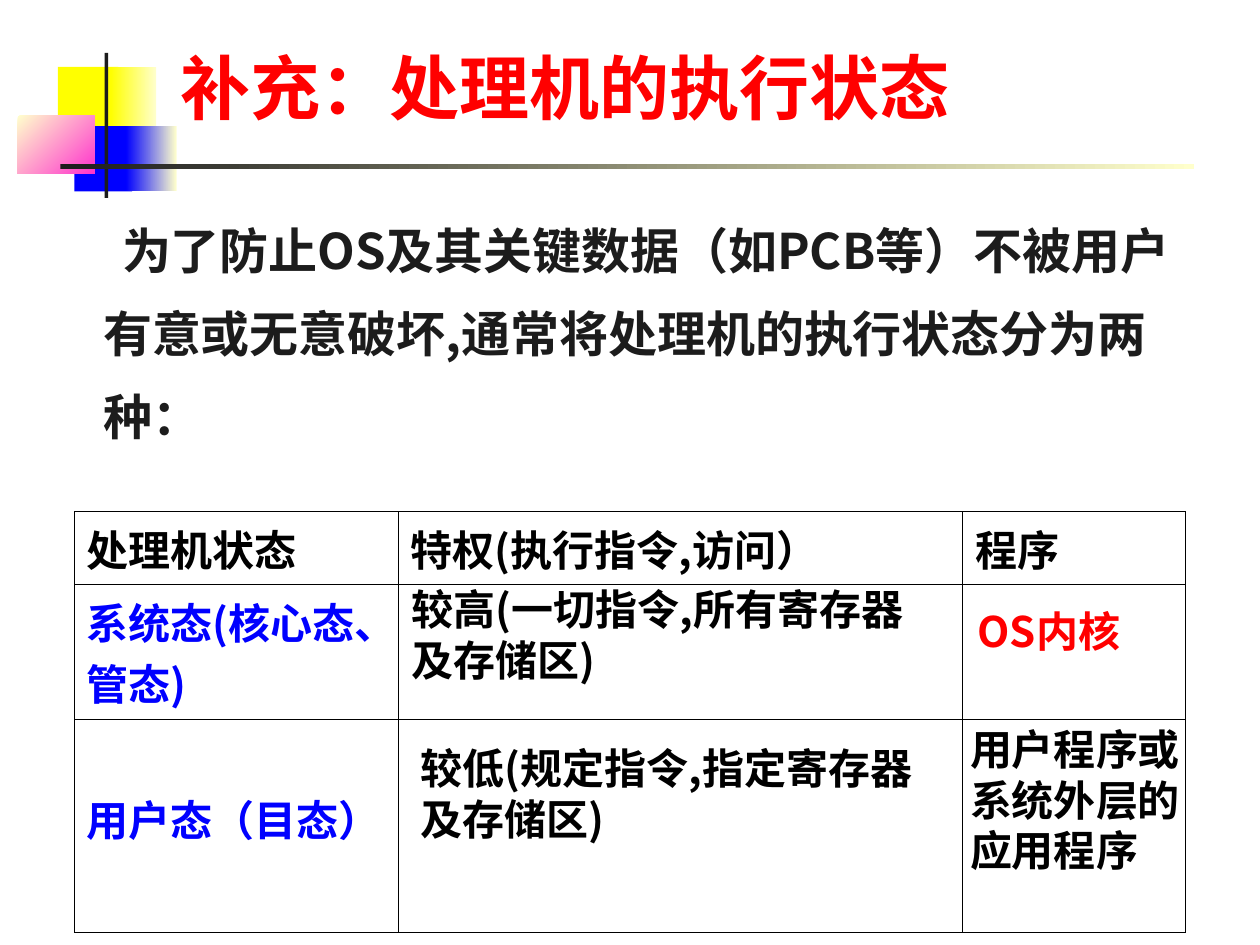
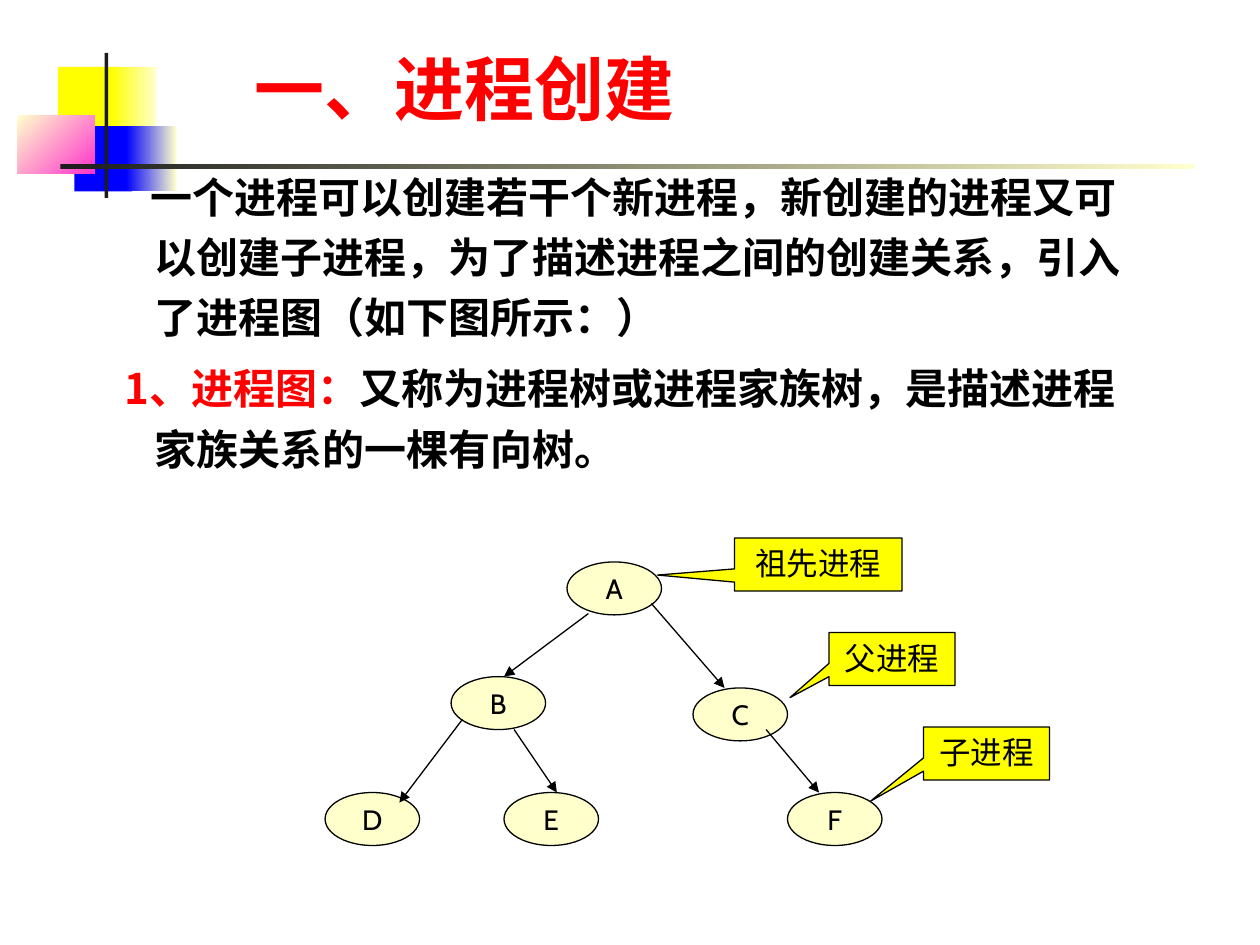
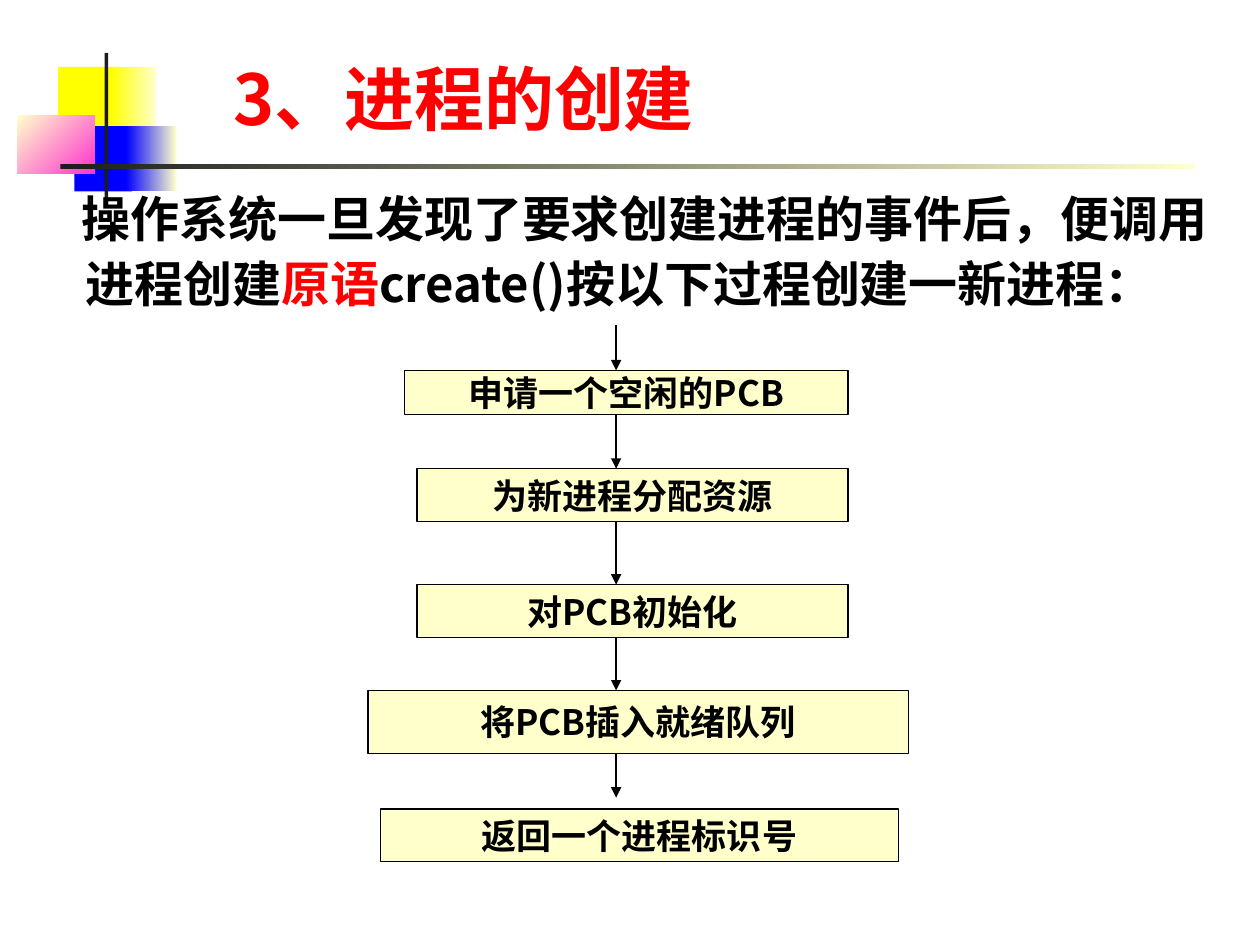
from dataclasses import dataclass

from lxml import etree
from pptx import Presentation
from pptx.dml.color import RGBColor
from pptx.enum.shapes import MSO_CONNECTOR as Connector, MSO_SHAPE as Shape
from pptx.enum.text import MSO_ANCHOR as Anchor, MSO_AUTO_SIZE as AutoSize, PP_ALIGN as Align
from pptx.oxml.ns import qn
from pptx.util import Inches, Pt


@dataclass(frozen=True)
class Theme:
    black: str = "000000"
    ink: str = "1C1C1C"
    red: str = "FF0000"
    blue: str = "0000FF"
    yellow: str = "FFFF00"
    cream: str = "FFFFCC"
    pink: str = "FF33CC"
    face: str = "Noto Sans CJK SC"
    label_face: str = "Cabin"
    title_size: int = 40
    lead_size: int = 28
    text_size: int = 24
    step_size: int = 20
    callout_size: int = 18
    node_size: int = 16
    line_width: float = 0.75
    border_width: float = 0.45


theme = Theme()


def write(frame, text, size=theme.text_size, color=theme.black, bold=True, face=theme.face,
          align=Align.LEFT, anchor=Anchor.TOP, wrap=True, leading=None, before=0,
          margin=0, indent=0):
    """Add one paragraph; text is a string or a list of (string, colour) spans."""
    frame.word_wrap = wrap
    frame.vertical_anchor = anchor
    para = frame.add_paragraph() if frame.text else frame.paragraphs[0]
    para.alignment = align
    para.space_before = Pt(before)
    if leading:
        para.line_spacing = Pt(leading)
    if margin:
        props = para._p.get_or_add_pPr()
        props.set("marL", str(Inches(margin)))
        props.set("indent", str(Inches(indent)))
    for words, tint in [(text, color)] if isinstance(text, str) else text:
        span = para.add_run()
        span.text = words
        span.font.size = Pt(size)
        span.font.bold = bold
        span.font.color.rgb = RGBColor.from_string(tint)
        span.font.name = face
        etree.SubElement(span._r.get_or_add_rPr(), qn("a:ea"), typeface=face)


def draw_arrow(page, start, end):
    arrow = page.shapes.add_connector(Connector.STRAIGHT, *map(Inches, start + end))
    arrow.line.color.rgb = RGBColor.from_string(theme.black)
    arrow.line.width = Pt(theme.line_width)
    etree.SubElement(arrow.line._get_or_add_ln(), qn("a:tailEnd"), type="triangle")
    etree.SubElement(arrow._element.spPr, qn("a:effectLst"))


deck = Presentation()
deck.slide_width, deck.slide_height = Inches(10), Inches(7.5)
layout = deck.slide_layouts[5]

# Pages and titles
titles = [
    ("补充：处理机的执行状态", (1.33, 0.28, 6.9, 0.79)),
    ("一、进程创建", (1.92, 0.32, 5.5, 0.76)),
    ("3、进程的创建", (1.75, 0.36, 6.4, 0.8)),
]
pages = []
for text, place in titles:
    page = deck.slides.add_slide(layout)
    title = page.shapes.title
    title.left, title.top, title.width, title.height = map(Inches, place)
    title.text_frame.auto_size = AutoSize.NONE
    write(title.text_frame, text, size=theme.title_size, color=theme.red,
          anchor=Anchor.BOTTOM, leading=48)
    pages.append(page)
states_page, tree_page, steps_page = pages

# Corner ornament, moved to the shared layout: place, colours, clockwise angle
ornament = [
    ((0.46, 0.53, 0.48, 0.52), [theme.yellow], 0),
    ((0.88, 0.53, 0.36, 0.52), [theme.yellow, theme.cream], 0),
    ((0.59, 1, 0.46, 0.52), [theme.blue], 0),
    ((1, 1, 0.4, 0.52), [theme.blue, theme.cream], 0),
    ((0.14, 0.92, 0.61, 0.46), [theme.cream, theme.pink], 45),
    ((0.83, 0.42, 0.03, 1.15), [theme.ink], 0),
    ((0.48, 1.3, 9, 0.04), [theme.ink, theme.cream], 0),
]
for place, colors, angle in ornament:
    tile = states_page.shapes.add_shape(Shape.RECTANGLE, *map(Inches, place))
    tile.shadow.inherit = False
    tile.line.fill.background()
    if len(colors) == 1:
        tile.fill.solid()
        tile.fill.fore_color.rgb = RGBColor.from_string(colors[0])
    else:
        tile.fill.gradient()
        tile.fill.gradient_angle = -angle % 360
        for stop, color in zip(tile.fill.gradient_stops, colors):
            stop.color.rgb = RGBColor.from_string(color)
    layout.shapes.element.append(tile.element)

# Processor states: introduction
intro = states_page.shapes.add_textbox(Inches(0.34), Inches(1.51), Inches(9.15), Inches(2))
write(intro.text_frame,
      "为了防止OS及其关键数据（如PCB等）不被用户有意或无意破坏,通常将处理机的执行状态分为两种：",
      size=theme.lead_size, color=theme.ink, leading=47.5, margin=0.38, indent=0.15)

# Processor states: table
grid = states_page.shapes.add_table(
    3, 3, Inches(0.59), Inches(4.06), Inches(8.82), Inches(3.34)).table
grid.first_row = grid.horz_banding = False
for column, width in zip(grid.columns, (2.57, 4.48, 1.77)):
    column.width = Inches(width)
for row, height in zip(grid.rows, (0.58, 1.07, 1.69)):
    row.height = Inches(height)
for cell in grid.iter_cells():
    props = cell._tc.get_or_add_tcPr()
    for side in ("a:lnL", "a:lnR", "a:lnT", "a:lnB"):
        border = etree.SubElement(props, qn(side), w=str(Pt(theme.border_width)))
        paint = etree.SubElement(border, qn("a:solidFill"))
        etree.SubElement(paint, qn("a:srgbClr"), val=theme.black)
    cell.fill.background()
for column, heading in enumerate(("处理机状态", "特权(执行指令,访问）", "程序")):
    write(grid.cell(0, column).text_frame, heading)
for row, state in enumerate(("系统态(核心态、管态)", "用户态（目态）"), start=1):
    write(grid.cell(row, 0).text_frame, state, color=theme.blue)
# A wider right margin keeps the comma from hanging over the border
grid.cell(1, 0).margin_right = Inches(0.25)
grid.cell(2, 0).margin_top = Inches(0.54)

# Processor states: notes over the table
notes = [
    ("较高(一切指令,所有寄存器及存储区)", (3.17, 4.58, 4.27, 0.9), theme.black),
    ("OS内核", (7.66, 4.75, 1.52, 0.5), theme.red),
    ("较低(规定指令,指定寄存器及存储区)", (3.24, 5.84, 4.2, 0.9), theme.black),
    ("用户程序或系统外层的应用程序", (7.6, 5.69, 1.89, 1.3), theme.black),
]
for text, place, color in notes:
    box = states_page.shapes.add_textbox(*map(Inches, place))
    write(box.text_frame, text, color=color, leading=29)

# Process tree: explanation
body = tree_page.shapes.add_textbox(Inches(0.75), Inches(1.23), Inches(8.5), Inches(2.68))
write(body.text_frame,
      "一个进程可以创建若干个新进程，新创建的进程又可以创建子进程，"
      "为了描述进程之间的创建关系，引入了进程图（如下图所示：）",
      leading=34.5, margin=0.38, indent=-0.03)
write(body.text_frame,
      [("1、进程图：", theme.red),
       ("又称为进程树或进程家族树，是描述进程家族关系的一棵有向树。", theme.black)],
      leading=34.5, before=6, margin=0.38, indent=-0.24)

# Process tree: nodes, arrows and callouts
nodes = {"A": (4.5, 4.46), "B": (3.58, 5.37), "D": (2.58, 6.29),
         "E": (4, 6.29), "C": (5.5, 5.46), "F": (6.25, 6.29)}
callouts = [
    ("父进程", (6.58, 5.02), 1, (-0.81, 0.73)),
    ("祖先进程", (5.83, 4.27), 1.33, (-0.96, 0.2)),
    ("子进程", (7.33, 5.77), 1, (-0.92, 0.9)),
]
branches = [
    ((4.67, 4.87), (4, 5.37)),
    ((3.67, 5.71), (3.17, 6.37)),
    ((4.08, 5.79), (4.42, 6.29)),
    ((5.17, 4.79), (5.75, 5.46)),
    ((6.08, 5.79), (6.5, 6.29)),
]
tree_shapes = [(name, Shape.OVAL, spot, 0.75, ()) for name, spot in nodes.items()]
tree_shapes += [(text, Shape.RECTANGULAR_CALLOUT, spot, width, pointer)
                for text, spot, width, pointer in callouts]
for text, kind, spot, width, pointer in tree_shapes:
    box = tree_page.shapes.add_shape(kind, *map(Inches, (*spot, width, 0.42)))
    box.shadow.inherit = False
    box.fill.solid()
    box.fill.fore_color.rgb = RGBColor.from_string(theme.yellow if pointer else theme.cream)
    box.line.color.rgb = RGBColor.from_string(theme.black)
    box.line.width = Pt(theme.line_width)
    for index, offset in enumerate(pointer):
        box.adjustments[index] = offset
    write(box.text_frame, text, size=theme.callout_size if pointer else theme.node_size,
          bold=False, face=theme.label_face, align=Align.CENTER, wrap=bool(pointer),
          anchor=Anchor.TOP if pointer else Anchor.MIDDLE)
for start, end in branches:
    draw_arrow(tree_page, start, end)

# Creation steps: introduction
lead = steps_page.shapes.add_textbox(Inches(0.2), Inches(1.39), Inches(9.61), Inches(1.18))
write(lead.text_frame,
      [("操作系统一旦发现了要求创建进程的事件后，便调用进程创建", theme.black),
       ("原语", theme.red),
       ("create()按以下过程创建一新进程：", theme.black)],
      size=theme.lead_size, leading=37.5, margin=0.38, indent=-0.03)

# Creation steps: flow, with the height where each incoming arrow ends
steps = [
    ("申请一个空闲的PCB", Shape.FLOWCHART_PROCESS, (3.21, 2.94, 3.52, 0.35), 2.94),
    ("为新进程分配资源", Shape.FLOWCHART_PROCESS, (3.31, 3.72, 3.42, 0.42), 3.72),
    ("对PCB初始化", Shape.FLOWCHART_PROCESS, (3.31, 4.64, 3.42, 0.42), 4.64),
    ("将PCB插入就绪队列", Shape.FLOWCHART_PROCESS, (2.92, 5.48, 4.29, 0.5), 5.48),
    ("返回一个进程标识号", Shape.RECTANGLE, (3.02, 6.42, 4.11, 0.42), 6.33),
]
flow_x, arrow_top = 4.89, 2.58
for text, kind, place, arrow_end in steps:
    box = steps_page.shapes.add_shape(kind, *map(Inches, place))
    box.shadow.inherit = False
    box.fill.solid()
    box.fill.fore_color.rgb = RGBColor.from_string(theme.cream)
    box.line.color.rgb = RGBColor.from_string(theme.black)
    box.line.width = Pt(theme.line_width)
    write(box.text_frame, text, size=theme.step_size, align=Align.CENTER,
          anchor=Anchor.MIDDLE, wrap=False)
    draw_arrow(steps_page, (flow_x, arrow_top), (flow_x, arrow_end))
    arrow_top = place[1] + place[3]

deck.save("out.pptx")
